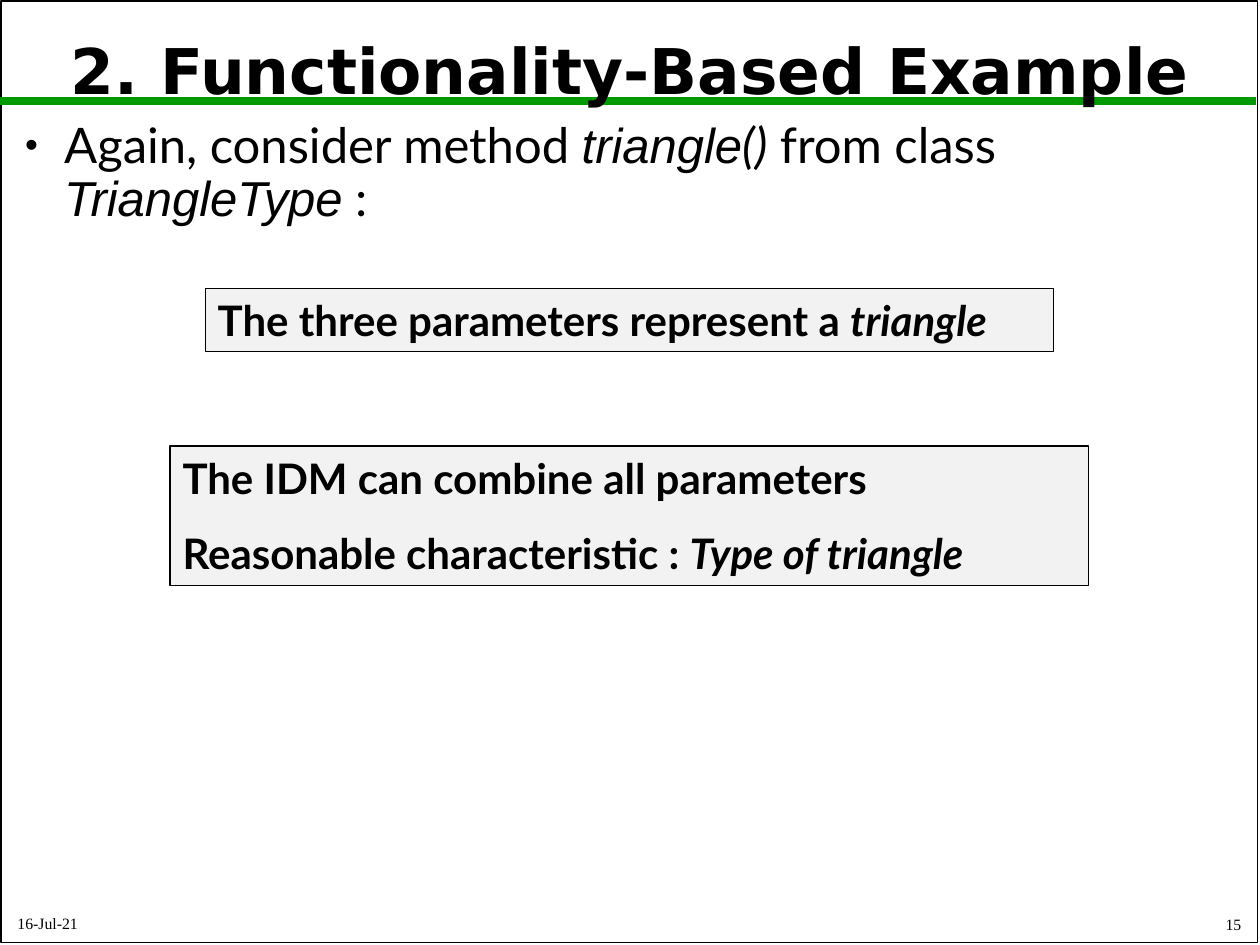
from lxml import etree
from pptx import Presentation
from pptx.dml.color import RGBColor
from pptx.enum.shapes import MSO_CONNECTOR, MSO_SHAPE
from pptx.enum.text import MSO_ANCHOR, MSO_AUTO_SIZE, PP_ALIGN
from pptx.oxml.ns import qn
from pptx.util import Inches, Pt

BLACK = RGBColor(0, 0, 0)
GREEN = RGBColor(0x00, 0x99, 0x00)
PALE_GREY = RGBColor(0xF2, 0xF2, 0xF2)
HEADING, TEXT, CODE, SMALL = "DejaVu Sans", "Lato", "Arial", "Times New Roman"

# A run is (text, italic) or (text, italic, font); a paragraph is a list of runs.
TITLE = [[("2. Functionality-Based Example", False)]]
BODY = [[
    ("Again, consider method ", False), ("triangle", True, CODE), ("()", True),
    (" from class ", False), ("TriangleType", True, CODE), (" :", False),
]]
CALLOUTS = [
    ((1.63, 2.29, 6.73, 0.5),
     [[("The three parameters represent a ", False), ("triangle", True)]]),
    ((1.35, 3.54, 7.29, 1.11),
     [[("The IDM can combine all parameters", False)],
      [("Reasonable characteristic : ", False), ("Type of triangle", True)]]),
]
FOOTERS = [
    ((0.04, 7.18, 4.2, 0.27), "16-Jul-21", PP_ALIGN.LEFT),
    ((7.87, 7.17, 2.08, 0.29), "15", PP_ALIGN.RIGHT),
]


def place(shape, box):
    """Move and size a shape to a box in inches."""
    shape.left, shape.top, shape.width, shape.height = map(Inches, box)


def write(shape, paragraphs, font, size, bold=False, align=PP_ALIGN.LEFT,
          anchor=MSO_ANCHOR.TOP, spacing=1.0, gap=0):
    """Fill a shape with formatted paragraphs, with a gap between them."""
    frame = shape.text_frame
    frame.word_wrap = True
    frame.auto_size = MSO_AUTO_SIZE.NONE
    frame.vertical_anchor = anchor
    for i, runs in enumerate(paragraphs):
        paragraph = frame.add_paragraph() if i else frame.paragraphs[0]
        paragraph.alignment = align
        paragraph.line_spacing = spacing
        paragraph.space_before = Pt(gap if i else 0)
        for text, italic, *face in runs:
            run = paragraph.add_run()
            run.text = text
            run.font.name = face[0] if face else font
            run.font.size = Pt(size)
            run.font.bold, run.font.italic = bold, italic
            run.font.color.rgb = BLACK


def add_bullet(paragraph, indent, percent):
    """Give a paragraph a hanging round bullet."""
    props = paragraph._p.get_or_add_pPr()
    props.set("marL", str(Inches(indent)))
    props.set("indent", str(-Inches(indent)))
    etree.SubElement(props, qn("a:buSzPct"), val=str(percent * 1000))
    etree.SubElement(props, qn("a:buFont"), typeface=CODE)
    etree.SubElement(props, qn("a:buChar"), char="\u2022")


def add_box(slide, box, width):
    """Add a plain rectangle with a black outline."""
    shape = slide.shapes.add_shape(MSO_SHAPE.RECTANGLE, *map(Inches, box))
    shape.shadow.inherit = False
    shape.line.color.rgb = BLACK
    shape.line.width = Pt(width)
    return shape


def add_backdrop(slide):
    """Put the page frame and the green rule behind the text."""
    frame = add_box(slide, (0.01, 0.01, 9.97, 7.47), 1)
    frame.fill.background()
    rule = slide.shapes.add_connector(
        MSO_CONNECTOR.STRAIGHT, *map(Inches, (0, 0.8, 9.97, 0.8)))
    rule.line.color.rgb = GREEN
    rule.line.width = Pt(4.5)
    etree.SubElement(rule.element.spPr, qn("a:effectLst"))
    tree = frame.element.getparent()
    for position, part in enumerate((frame, rule), start=2):
        tree.insert(position, part.element)


def main():
    """Build and save the slide."""
    deck = Presentation()
    deck.slide_width, deck.slide_height = Inches(10), Inches(7.5)
    slide = deck.slides.add_slide(deck.slide_layouts[1])
    title, body = slide.placeholders
    add_backdrop(slide)

    place(title, (0.05, 0.11, 9.9, 0.95))
    write(title, TITLE, HEADING, 36, bold=True, align=PP_ALIGN.CENTER,
          anchor=MSO_ANCHOR.MIDDLE, spacing=0.9)
    place(body, (0.1, 0.91, 9.81, 6.27))
    write(body, BODY, TEXT, 28, spacing=0.9)
    add_bullet(body.text_frame.paragraphs[0], 0.31, 75)

    for box, text, align in FOOTERS:
        footer = slide.shapes.add_textbox(*map(Inches, box))
        write(footer, [[(text, False)]], SMALL, 9, align=align,
              anchor=MSO_ANCHOR.BOTTOM)
    for box, paragraphs in CALLOUTS:
        callout = add_box(slide, box, 0.75)
        callout.fill.solid()
        callout.fill.fore_color.rgb = PALE_GREY
        write(callout, paragraphs, TEXT, 24, bold=True, gap=14.4)

    deck.save("out.pptx")


main()
